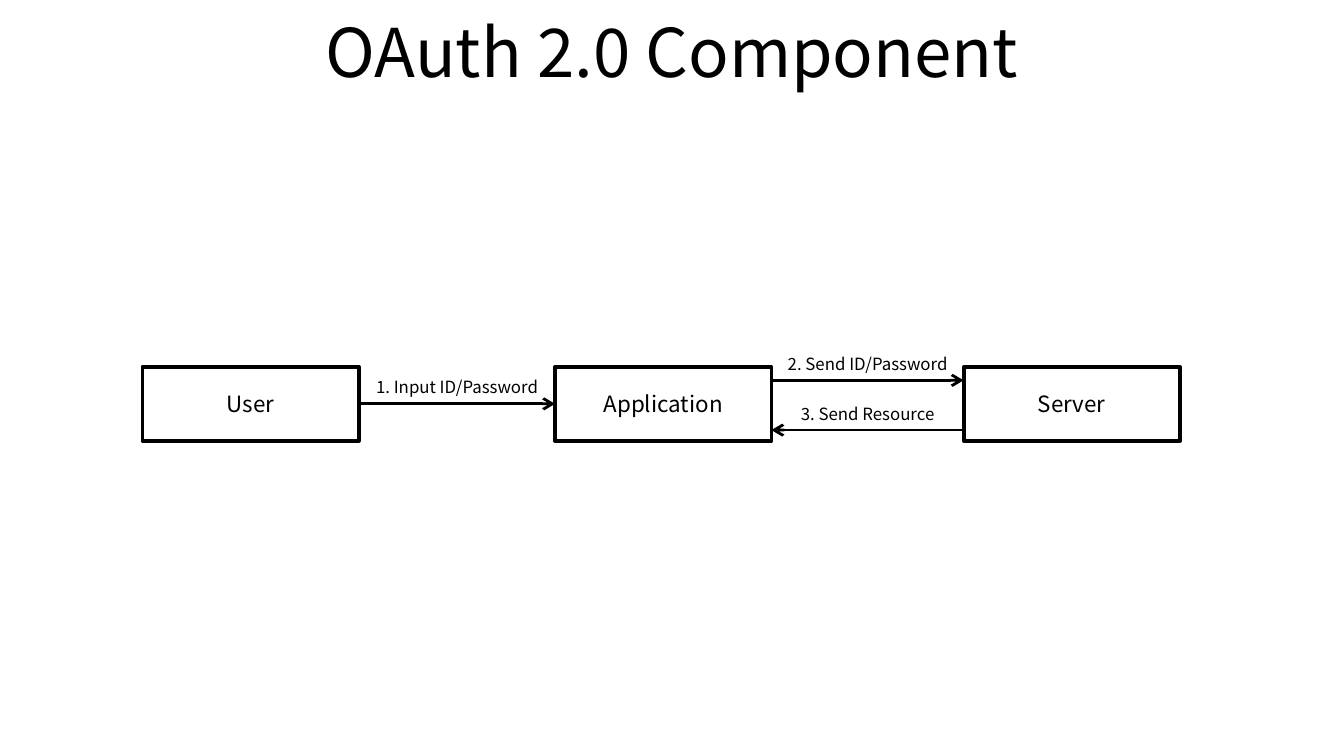
from lxml import etree
from pptx import Presentation
from pptx import util as u
from pptx.dml.color import RGBColor
from pptx.enum import shapes, text
from pptx.oxml.ns import qn

FONT, BLACK, WHITE = "Noto Sans CJK KR", "000000", "FFFFFF"
SLIDE_W = 10
SLIDE_H = SLIDE_W * 9 / 16

# Content
TITLE = "OAuth 2.0 Component"
ACTORS = {"User": 1.06, "Application": 4.13, "Server": 7.17}  # name: left
# label, source, target, height of the arrow (None: middle of the boxes)
MESSAGES = [
    ("1. Input ID/Password", "User", "Application", None),
    ("2. Send ID/Password", "Application", "Server", 2.83),
    ("3. Send Resource", "Server", "Application", 3.2),
]

# Grid
BOX_W, BOX_H, BOX_TOP = 1.61, 0.55, 2.73
LABEL_W, LABEL_H = 1.93, 0.25


def rgb(color):
    return RGBColor.from_string(color)


def write(sp, words, size):
    tf = sp.text_frame
    tf.word_wrap = True
    tf.vertical_anchor = text.MSO_ANCHOR.MIDDLE
    p = tf.paragraphs[0]
    p.text = words
    p.alignment = text.PP_ALIGN.CENTER
    p.font.size, p.font.name = u.Pt(size), FONT
    p.font.color.rgb = rgb(BLACK)


def add_text(words, size, *area):
    write(slide.shapes.add_textbox(*map(u.Inches, area)), words, size)


def add_box(name, left):
    sp = slide.shapes.add_shape(
        shapes.MSO_SHAPE.ROUNDED_RECTANGLE,
        *map(u.Inches, (left, BOX_TOP, BOX_W, BOX_H)))
    sp.adjustments[0] = 0
    sp.shadow.inherit = False
    sp.fill.solid()
    sp.fill.fore_color.rgb = rgb(WHITE)
    sp.line.color.rgb = rgb(BLACK)
    sp.line.width = u.Pt(2)
    write(sp, name, 12)
    return sp


def add_arrow(x1, x2, y):
    arrow = slide.shapes.add_connector(
        shapes.MSO_CONNECTOR.STRAIGHT, *map(u.Inches, (x1, y, x2, y)))
    arrow.line.color.rgb = rgb(BLACK)
    arrow.line.width = u.Pt(1.5)
    sp_pr = arrow._element.spPr
    etree.SubElement(sp_pr.find(qn("a:ln")), qn("a:tailEnd"), type="arrow")
    etree.SubElement(sp_pr, qn("a:effectLst"))
    return arrow


prs = Presentation()
prs.slide_width, prs.slide_height = u.Inches(SLIDE_W), u.Inches(SLIDE_H)
slide = prs.slides.add_slide(prs.slide_layouts[6])

# Title
add_text(TITLE, 36, 0.5, -0.02, SLIDE_W - 1, 0.79)

# Actors
boxes = {name: add_box(name, left) for name, left in ACTORS.items()}

# Messages: an arrow across the gap, its label resting on it
for label, source, target, height in MESSAGES:
    x1, x2 = ACTORS[source], ACTORS[target]
    forward = x1 < x2
    if forward:
        x1 += BOX_W
    else:
        x2 += BOX_W
    y = height or BOX_TOP + BOX_H / 2
    arrow = add_arrow(x1, x2, y)
    if height is None:
        arrow.begin_connect(boxes[source], 3 if forward else 1)
        arrow.end_connect(boxes[target], 1 if forward else 3)
    add_text(label, 9, (x1 + x2 - LABEL_W) / 2, y - LABEL_H, LABEL_W, LABEL_H)

prs.save("out.pptx")
